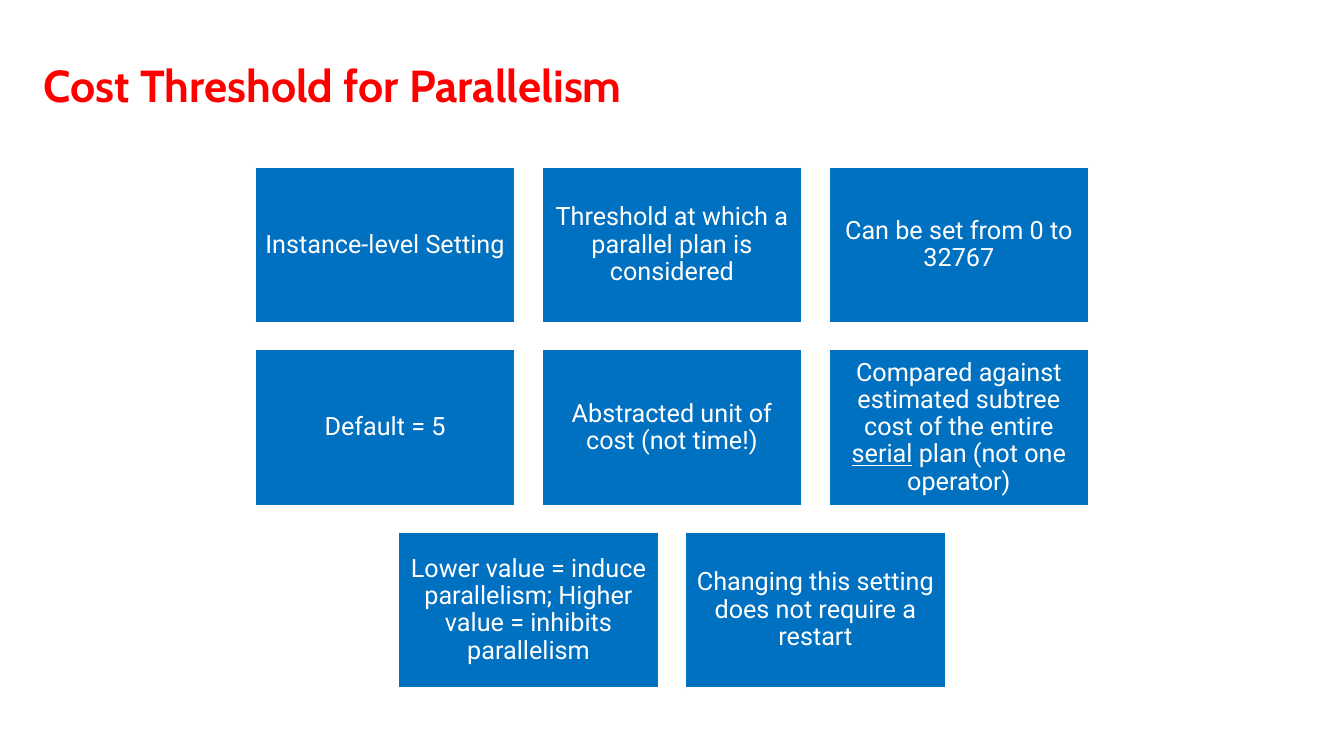
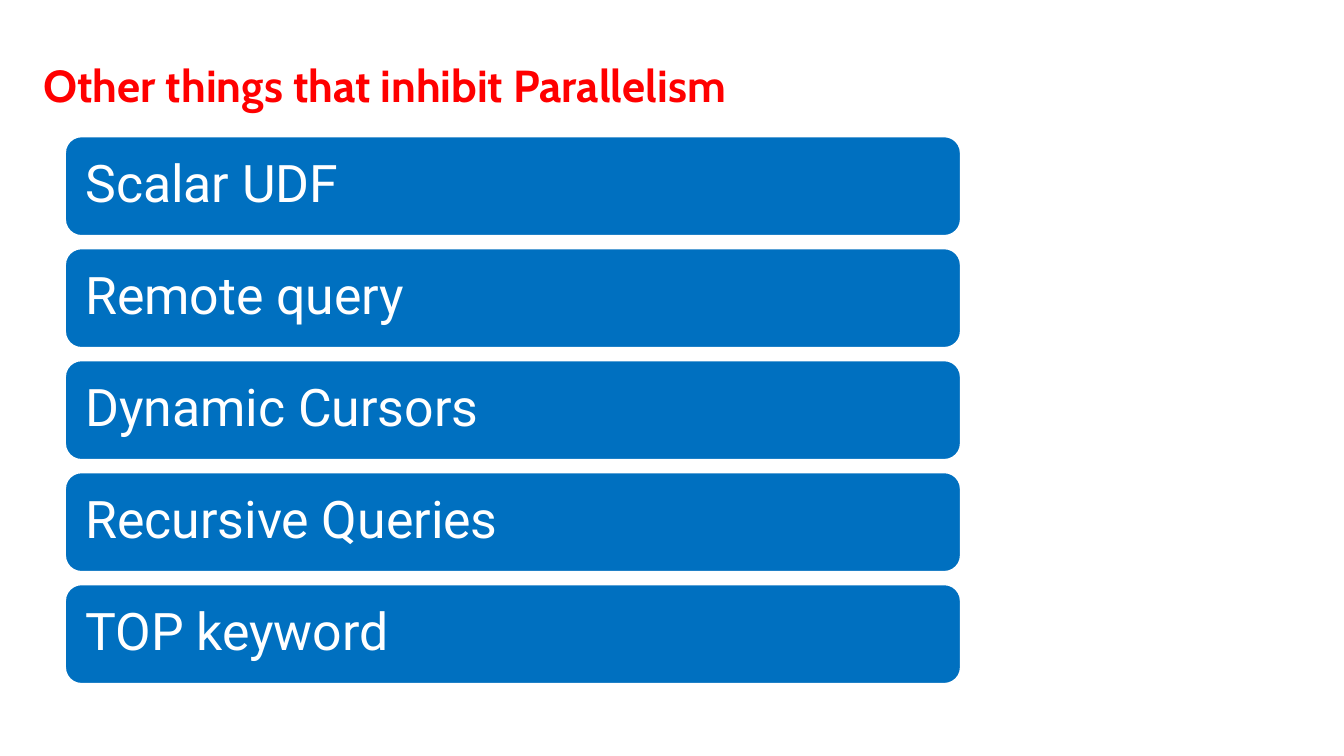
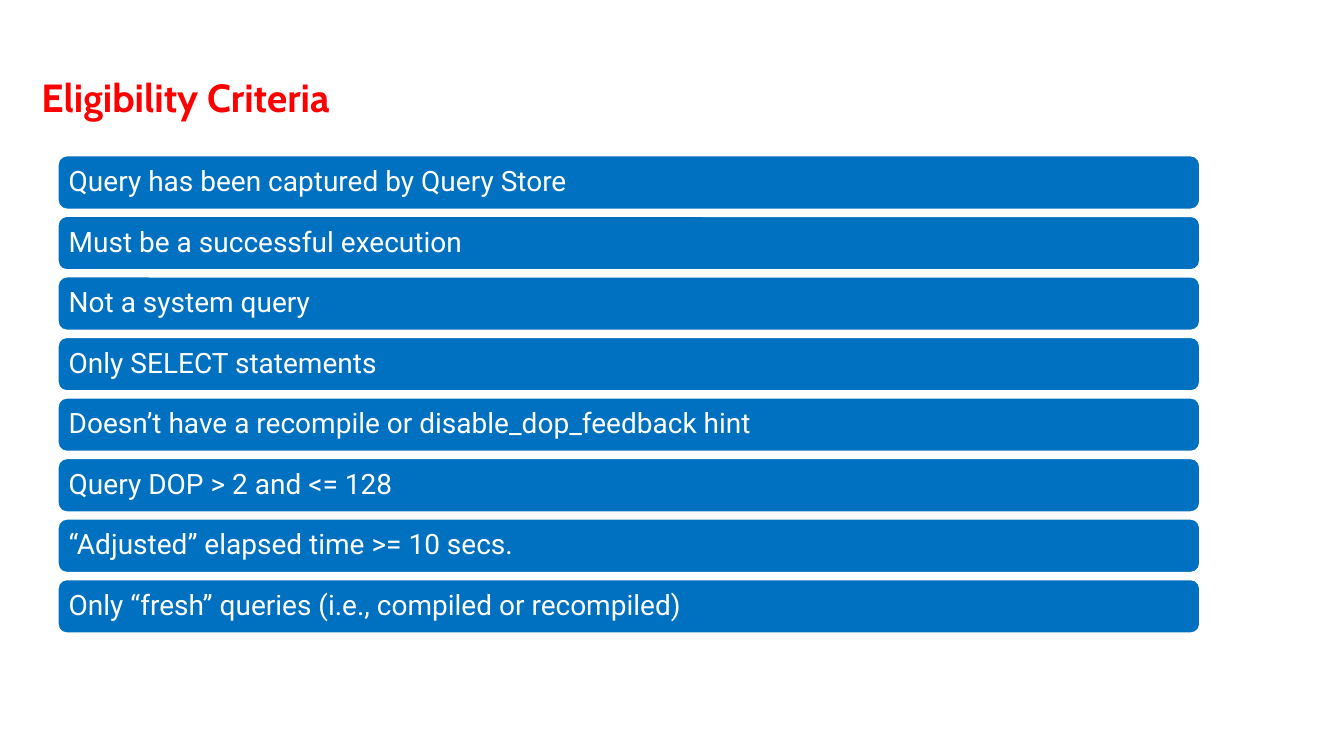
"""Build three slides on query parallelism from titled sets of blue boxes."""
from dataclasses import dataclass

from pptx import Presentation
from pptx.dml.color import RGBColor
from pptx.enum.shapes import MSO_SHAPE as Kind
from pptx.enum.text import MSO_ANCHOR as Anchor, MSO_AUTO_SIZE as Auto, PP_ALIGN as Align
from pptx.slide import Slide
from pptx.text.text import TextFrame as Frame
from pptx.util import Pt

RED, BLUE, WHITE = "FF0000", "0070C0", "FFFFFF"
HEAD, BODY = "Cabin", "Roboto"
WIDE, HIGH = 960, 540


@dataclass(frozen=True)
class Title:
    text: str
    left: float = 24
    top: float = 38
    width: float = 677.5
    size: float = 32


@dataclass(frozen=True)
class Box:
    text: str
    left: float
    top: float
    width: float
    height: float
    size: float
    kind: Kind = Kind.ROUNDED_RECTANGLE
    align: Align = Align.LEFT


def tint(code: str) -> RGBColor:
    return RGBColor.from_string(code)


def write(frame: Frame, text: str, size: float, font: str, code: str, bold: bool = False) -> None:
    frame.word_wrap = True
    para = frame.paragraphs[0]
    for spot, part in enumerate(text.split("*")):
        run = para.add_run()
        run.text = part
        run.font.size = Pt(size)
        run.font.name = font
        run.font.bold = bold
        run.font.color.rgb = tint(code)
        if spot % 2:
            run.font.underline = True


def draw_title(slide: Slide, title: Title) -> None:
    area = slide.shapes.add_textbox(
        Pt(title.left), Pt(title.top), Pt(title.width), Pt(title.size * 1.44))
    write(area.text_frame, title.text, title.size, HEAD, RED, True)
    area.text_frame.auto_size = Auto.SHAPE_TO_FIT_TEXT


def draw_box(slide: Slide, box: Box) -> None:
    shape = slide.shapes.add_shape(
        box.kind, Pt(box.left), Pt(box.top), Pt(box.width), Pt(box.height))
    shape.shadow.inherit = False
    shape.fill.solid()
    shape.fill.fore_color.rgb = tint(BLUE)
    shape.line.color.rgb = tint(WHITE)
    shape.line.width = Pt(1.5)
    frame = shape.text_frame
    inset = Pt(box.size * 0.3)
    frame.margin_left = frame.margin_right = inset
    frame.margin_top = frame.margin_bottom = inset
    frame.vertical_anchor = Anchor.MIDDLE
    write(frame, box.text, box.size, BODY, WHITE)
    frame.paragraphs[0].alignment = box.align
    frame.paragraphs[0].line_spacing = 0.9


def grid(texts: list[str], top: float, width: float, cols: int, size: float) -> list[Box]:
    height, gap = width * 0.6, width * 0.1
    boxes = []
    for first in range(0, len(texts), cols):
        row = texts[first:first + cols]
        left = (WIDE - len(row) * (width + gap) + gap) / 2
        level = top + first // cols * (height + gap)
        boxes += [Box(text, left + col * (width + gap), level, width, height, size,
                      Kind.RECTANGLE, Align.CENTER) for col, text in enumerate(row)]
    return boxes


def stack(texts: list[str], left: float, top: float, width: float,
          height: float, step: float, size: float) -> list[Box]:
    return [Box(text, left, top + row * step, width, height, size)
            for row, text in enumerate(texts)]


COST = [
    "Instance-level Setting",
    "Threshold at which a parallel plan is considered",
    "Can be set from 0 to 32767",
    "Default = 5",
    "Abstracted unit of cost (not time!)",
    "Compared against estimated subtree cost of the entire *serial* plan (not one operator)",
    "Lower value = induce parallelism; Higher value = inhibits parallelism",
    "Changing this setting does not require a restart",
]
LIMITS = ["Scalar UDF", "Remote query", "Dynamic Cursors", "Recursive Queries", "TOP keyword"]
RULES = [
    "Query has been captured by Query Store",
    "Must be a successful execution",
    "Not a system query",
    "Only SELECT statements",
    "Doesn’t have a recompile or disable_dop_feedback hint",
    "Query DOP > 2 and <= 128",
    "“Adjusted” elapsed time >= 10 secs.",
    "Only “fresh” queries (i.e., compiled or recompiled)",
]
PAGES = [
    (Title("Cost Threshold for Parallelism"), grid(COST, 119, 186.3, 3, 18)),
    (Title("Other things that inhibit Parallelism"),
     stack(LIMITS, 46.4, 97.3, 640, 71.3, 80, 37)),
    (Title("Eligibility Criteria", 22.5, 49, 630.5, 28),
     stack(RULES, 41.2, 111, 816, 38.7, 43.25, 20)),
]


def main() -> None:
    deck = Presentation()
    deck.slide_width, deck.slide_height = Pt(WIDE), Pt(HIGH)
    for title, boxes in PAGES:
        slide = deck.slides.add_slide(deck.slide_layouts[6])
        draw_title(slide, title)
        for box in boxes:
            draw_box(slide, box)
    deck.save("out.pptx")


if __name__ == "__main__":
    main()
